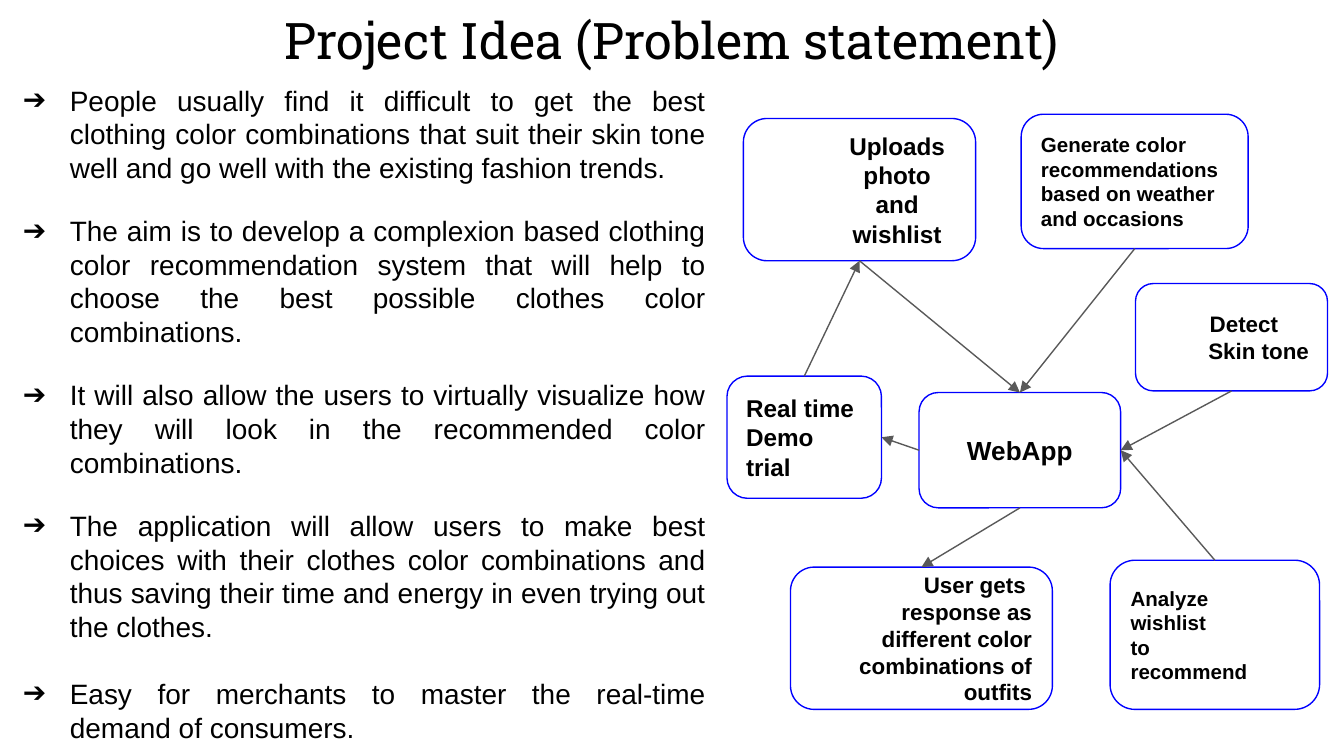
from dataclasses import dataclass
from enum import IntEnum

from lxml.etree import SubElement
from pptx import Presentation
from pptx.dml.color import RGBColor
from pptx.enum.shapes import MSO_CONNECTOR, MSO_SHAPE
from pptx.enum.text import MSO_ANCHOR, MSO_AUTO_SIZE, PP_ALIGN
from pptx.oxml.ns import qn
from pptx.shapes.autoshape import Shape
from pptx.slide import Slide
from pptx.text.text import TextFrame
from pptx.util import Cm, Pt


@dataclass(frozen=True)
class Theme:
    text: RGBColor = RGBColor(0, 0, 0)
    fill: RGBColor = RGBColor(255, 255, 255)
    outline: RGBColor = RGBColor(0, 0, 255)
    arrow: RGBColor = RGBColor(0x59, 0x59, 0x59)
    title_font: str = "Roboto Slab"
    body_font: str = "Arial"
    title_size: float = 27
    body_size: float = 15
    line_width: float = 0.75
    inset: float = 0.25


@dataclass(frozen=True)
class Line:
    text: str
    align: PP_ALIGN = PP_ALIGN.LEFT
    indent: float = 0


@dataclass(frozen=True)
class Node:
    """A rounded box; place is left, top, width and height in cm."""
    name: str
    place: tuple[float, float, float, float]
    size: float
    lines: list[Line]


class Side(IntEnum):
    TOP = 0
    LEFT = 1
    BOTTOM = 2
    RIGHT = 3


@dataclass(frozen=True)
class Arrow:
    start: str
    start_side: Side
    end: str
    end_side: Side


THEME = Theme()
CENTER, RIGHT = PP_ALIGN.CENTER, PP_ALIGN.RIGHT

TITLE = "Project Idea (Problem statement)"
# Each point with the space before it, in points
POINTS = [
    ("People usually find it difficult to get the best clothing color combinations that "
     "suit their skin tone well and go well with the existing fashion trends.", 0),
    ("The aim is to develop a complexion based clothing color recommendation system that "
     "will help to choose the best possible clothes color combinations.", 16),
    ("It will also allow the users to virtually visualize how they will look in the "
     "recommended color combinations.", 16),
    ("The application will allow users to make best choices with their clothes color "
     "combinations and thus saving their time and energy in even trying out the clothes.", 16),
    ("Easy for merchants to master the real-time demand of consumers.", 18),
]
NODES = [
    Node("webapp", (17.37, 7.42, 3.81, 2.18), 14, [Line("WebApp", CENTER)]),
    Node("detect", (21.46, 5.36, 3.63, 2.03), 12,
         [Line("Detect", CENTER, 0.47), Line("Skin tone", RIGHT)]),
    Node("upload", (14.05, 2.24, 4.39, 2.69), 13,
         [Line("Uploads photo and wishlist", CENTER, 1.42)]),
    Node("analyze", (20.98, 10.59, 3.96, 2.82), 11,
         [Line("Analyze"), Line("wishlist"), Line("to"), Line("recommend")]),
    Node("generate", (19.3, 2.16, 4.29, 2.54), 11,
         [Line("Generate color"), Line("recommendations based on weather and occasions")]),
    Node("trial", (13.74, 7.11, 2.92, 2.31), 13, [Line("Real time Demo trial")]),
    Node("response", (14.94, 10.72, 4.95, 2.69), 12,
         [Line("User gets ", RIGHT),
          Line("response as different color combinations of outfits", RIGHT)]),
]
ARROWS = [
    Arrow("upload", Side.BOTTOM, "webapp", Side.TOP),
    Arrow("analyze", Side.TOP, "webapp", Side.RIGHT),
    Arrow("generate", Side.BOTTOM, "webapp", Side.TOP),
    Arrow("detect", Side.BOTTOM, "webapp", Side.RIGHT),
    Arrow("webapp", Side.LEFT, "trial", Side.RIGHT),
    Arrow("trial", Side.TOP, "upload", Side.BOTTOM),
    Arrow("webapp", Side.BOTTOM, "response", Side.TOP),
]


def set_place(box: Shape, place: tuple[float, float, float, float]) -> None:
    box.left, box.top, box.width, box.height = map(Cm, place)


def set_frame(frame: TextFrame, anchor: MSO_ANCHOR) -> None:
    frame.word_wrap = True
    frame.auto_size = MSO_AUTO_SIZE.NONE
    frame.vertical_anchor = anchor
    frame.margin_left = frame.margin_right = Cm(THEME.inset)
    frame.margin_top = frame.margin_bottom = Cm(THEME.inset)


def add_paragraph(frame: TextFrame, index: int, text: str, align: PP_ALIGN, font: str,
                  size: float, bold: bool = False, indent: float = 0, hanging: float = 0,
                  before: float = 0, bullet: str = "") -> None:
    """Write one paragraph, reusing the empty first one; indents are in cm."""
    para = frame.add_paragraph() if index else frame.paragraphs[0]
    para.text = text
    para.alignment = align
    para.space_before = Pt(before)
    properties = para._p.get_or_add_pPr()
    properties.set("marL", str(Cm(indent)))
    properties.set("indent", str(-Cm(hanging)))
    if bullet:
        SubElement(properties, qn("a:buChar"), char=bullet)
    para.font.name = font
    para.font.size = Pt(size)
    para.font.bold = bold
    para.font.color.rgb = THEME.text


def add_title(page: Slide) -> None:
    title = page.shapes.title
    set_place(title, (0.86, -0.08, 23.67, 1.6))
    set_frame(title.text_frame, MSO_ANCHOR.TOP)
    add_paragraph(title.text_frame, 0, TITLE, CENTER, THEME.title_font, THEME.title_size)


def add_points(page: Slide) -> None:
    body = page.placeholders[1]
    set_place(body, (-0.2, 1.32, 13.79, 12.14))
    set_frame(body.text_frame, MSO_ANCHOR.TOP)
    for index, (text, before) in enumerate(POINTS):
        add_paragraph(body.text_frame, index, text, PP_ALIGN.JUSTIFY, THEME.body_font,
                      THEME.body_size, indent=1.27, hanging=0.89, before=before, bullet="➔")


def add_node(page: Slide, node: Node) -> Shape:
    box = page.shapes.add_shape(MSO_SHAPE.ROUNDED_RECTANGLE, *map(Cm, node.place))
    box.shadow.inherit = False
    box.fill.solid()
    box.fill.fore_color.rgb = THEME.fill
    box.line.color.rgb = THEME.outline
    box.line.width = Pt(THEME.line_width)
    set_frame(box.text_frame, MSO_ANCHOR.MIDDLE)
    for index, line in enumerate(node.lines):
        add_paragraph(box.text_frame, index, line.text, line.align, THEME.body_font,
                      node.size, bold=True, indent=line.indent)
    return box


def add_arrow(page: Slide, arrow: Arrow, boxes: dict[str, Shape]) -> None:
    connector = page.shapes.add_connector(MSO_CONNECTOR.STRAIGHT, 0, 0, 0, 0)
    connector.begin_connect(boxes[arrow.start], arrow.start_side.value)
    connector.end_connect(boxes[arrow.end], arrow.end_side.value)
    connector.line.color.rgb = THEME.arrow
    connector.line.width = Pt(THEME.line_width)
    SubElement(connector.line._get_or_add_ln(), qn("a:tailEnd"), type="triangle")
    SubElement(connector._element.spPr, qn("a:effectLst"))


def main() -> None:
    deck = Presentation()
    deck.slide_width, deck.slide_height = Cm(25.4), Cm(14.29)
    page = deck.slides.add_slide(deck.slide_layouts[1])
    add_title(page)
    add_points(page)
    boxes = {node.name: add_node(page, node) for node in NODES}
    for arrow in ARROWS:
        add_arrow(page, arrow, boxes)
    deck.save("out.pptx")


if __name__ == "__main__":
    main()
